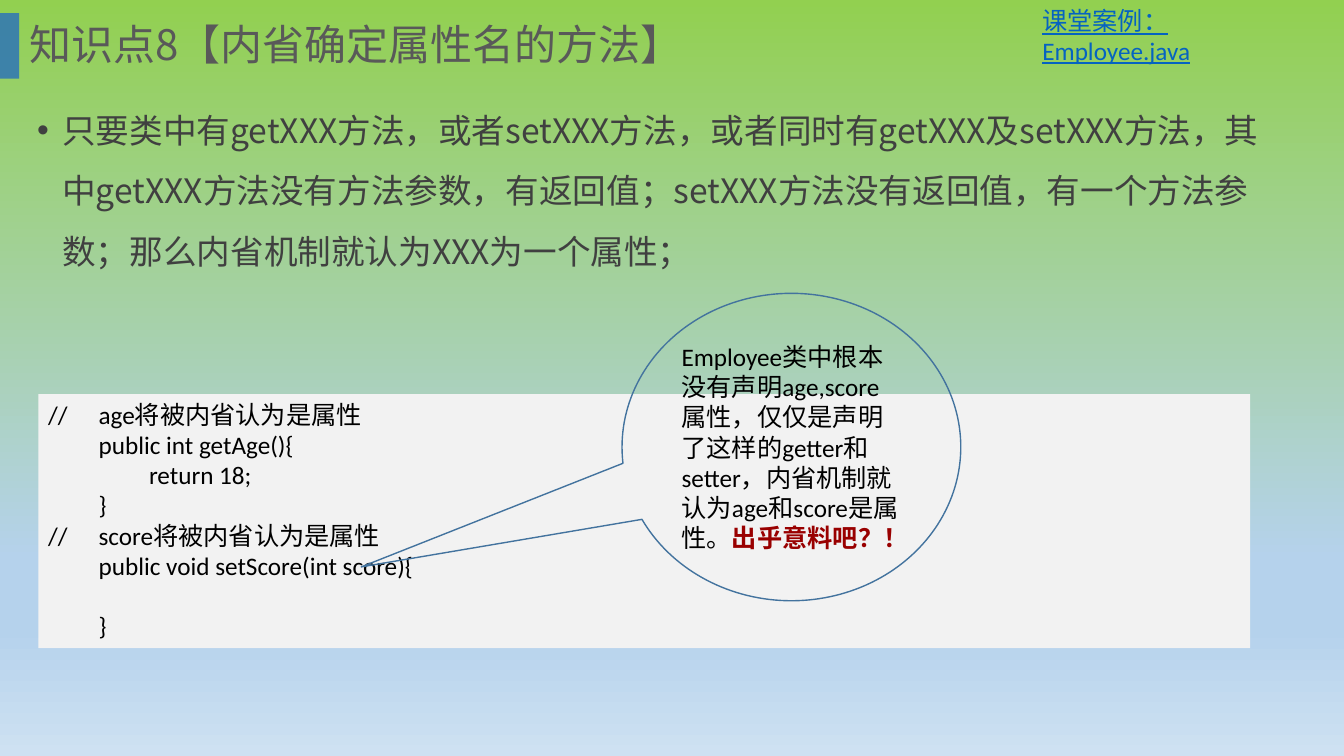
import lxml.etree
import pptx
import pptx.dml.color
import pptx.enum.shapes
import pptx.enum.text
import pptx.oxml.ns
import pptx.util

SHAPE = pptx.enum.shapes.MSO_SHAPE
ANCHOR = pptx.enum.text.MSO_ANCHOR
qn = pptx.oxml.ns.qn
CJK = "Noto Sans CJK SC"
COLORS = {
    "bar": "2E75B6", "title": "595959", "body": "404040", "code": "F2F2F2",
    "text": "000000", "link": "0563C1", "outline": "43739E", "alert": "990000",
}
BACKGROUND = [(0, "92D050"), (74, "B5D2EC"), (83, "B5D2EC"), (100, "CEE1F2")]
CODE = [
    "//\tage将被内省认为是属性", "\tpublic int getAge(){", "\t\treturn 18;", "\t}",
    "//\tscore将被内省认为是属性", "\tpublic void setScore(int score){", "\t\t", "\t}",
]


def rgb(name):
    """Return the named colour."""
    return pptx.dml.color.RGBColor.from_string(COLORS[name])


def inches(box):
    """Convert a box in inches to lengths."""
    return [pptx.util.Inches(v) for v in box]


def add_run(p, text, color="text", font="Calibri", size=18, **formats):
    """Add a formatted run with a Chinese font."""
    r = p.add_run()
    r.text = text
    formats.update(name=font, size=pptx.util.Pt(size))
    for key, value in formats.items():
        setattr(r.font, key, value)
    r.font.color.rgb = rgb(color)
    lxml.etree.SubElement(r._r.get_or_add_rPr(), qn("a:ea"), typeface=CJK)


def format_frame(sp, anchor=ANCHOR.TOP):
    """Wrap the text of a shape, align it left and return its first paragraph."""
    tf = sp.text_frame
    formats = {"word_wrap": True, "auto_size": pptx.enum.text.MSO_AUTO_SIZE.NONE,
               "vertical_anchor": anchor}
    for key, value in formats.items():
        setattr(tf, key, value)
    p = tf.paragraphs[0]
    p.alignment = pptx.enum.text.PP_ALIGN.LEFT
    return p


def add_box(slide, box, kind=SHAPE.RECTANGLE, fill=None, line=None):
    """Add a flat shape with an optional fill and outline."""
    sp = slide.shapes.add_shape(kind, *inches(box))
    sp.shadow.inherit = False
    if fill:
        sp.fill.solid()
        sp.fill.fore_color.rgb = rgb(fill)
    else:
        sp.fill.background()
    if line:
        sp.line.color.rgb = rgb(line)
        sp.line.width = pptx.util.Pt(1)
    else:
        sp.line.fill.background()
    return sp


def paint_background(slide):
    """Fill the slide with a vertical gradient."""
    fill = slide.background.fill
    fill.gradient()
    fill.gradient_angle = 270
    stops = slide.background._cSld.find(".//" + qn("a:gsLst"))
    for stop in list(stops):
        stops.remove(stop)
    for share, color in BACKGROUND:
        stop = lxml.etree.SubElement(stops, qn("a:gs"), pos=str(share * 1000))
        lxml.etree.SubElement(stop, qn("a:srgbClr"), val=color)


def add_heading(slide, box):
    """Place the title and the bar on its left."""
    bar = add_box(slide, (0, 0.13, 0.19, 0.65), fill="bar")
    color = bar._element.spPr.find(".//" + qn("a:srgbClr"))
    lxml.etree.SubElement(color, qn("a:alpha"), val="85000")
    title = slide.shapes.title
    title.left, title.top, title.width, title.height = inches(box)
    p = format_frame(title, ANCHOR.MIDDLE)
    p.line_spacing = 0.9
    add_run(p, "知识点8【内省确定属性名的方法】", "title", CJK, 30)


def add_rule(slide, box):
    """Place the bulleted explanation."""
    p = format_frame(slide.shapes.add_textbox(*inches(box)))
    p.line_spacing = 1.5
    p.space_before = pptx.util.Pt(10)
    pPr = p._p.get_or_add_pPr()
    indent = pptx.util.Inches(0.25)
    pPr.set("marL", str(indent))
    pPr.set("indent", str(-indent))
    lxml.etree.SubElement(pPr, qn("a:buFont"), typeface="Arial")
    lxml.etree.SubElement(pPr, qn("a:buChar"), char="•")
    add_run(p, "只要类中有getXXX方法，或者setXXX方法，或者同时有getXXX及setXXX方法，"
               "其中getXXX方法没有方法参数，有返回值；setXXX方法没有返回值，"
               "有一个方法参数；那么内省机制就认为XXX为一个属性；", "body", CJK, 24)


def add_code(slide, box):
    """Place the code panel, one paragraph a line."""
    sp = add_box(slide, box, fill="code")
    p = format_frame(sp)
    for i, line in enumerate(CODE):
        if i:
            p = sp.text_frame.add_paragraph()
            p.alignment = pptx.enum.text.PP_ALIGN.LEFT
        add_run(p, line)


def add_example(slide, box):
    """Place the name of the class example."""
    p = format_frame(slide.shapes.add_textbox(*inches(box)))
    add_run(p, "课堂案例：Employee.java", "link", underline=True)


def add_callout(slide, box):
    """Place the oval callout that points at the code."""
    sp = add_box(slide, box, SHAPE.OVAL_CALLOUT, line="outline")
    sp.adjustments[0], sp.adjustments[1] = -1.27, 0.39
    p = format_frame(sp, ANCHOR.MIDDLE)
    add_run(p, "Employee类中根本没有声明age,score属性，仅仅是声明了这样的getter和setter，"
               "内省机制就认为age和score是属性。")
    add_run(p, "出乎意料吧？！", "alert", bold=True)


def main():
    """Build the slide and save it."""
    prs = pptx.Presentation()
    prs.slide_width, prs.slide_height = inches((13.33, 7.5))
    slide = prs.slides.add_slide(prs.slide_layouts[5])
    paint_background(slide)
    add_heading(slide, (0.19, 0, 12.66, 0.93))
    add_rule(slide, (0.27, 0.84, 12.41, 3.03))
    add_code(slide, (0.38, 3.91, 12.02, 2.52))
    add_example(slide, (10.24, 0, 2.53, 0.71))
    add_callout(slide, (6.17, 2.91, 3.36, 3.05))
    prs.save("out.pptx")


if __name__ == "__main__":
    main()
